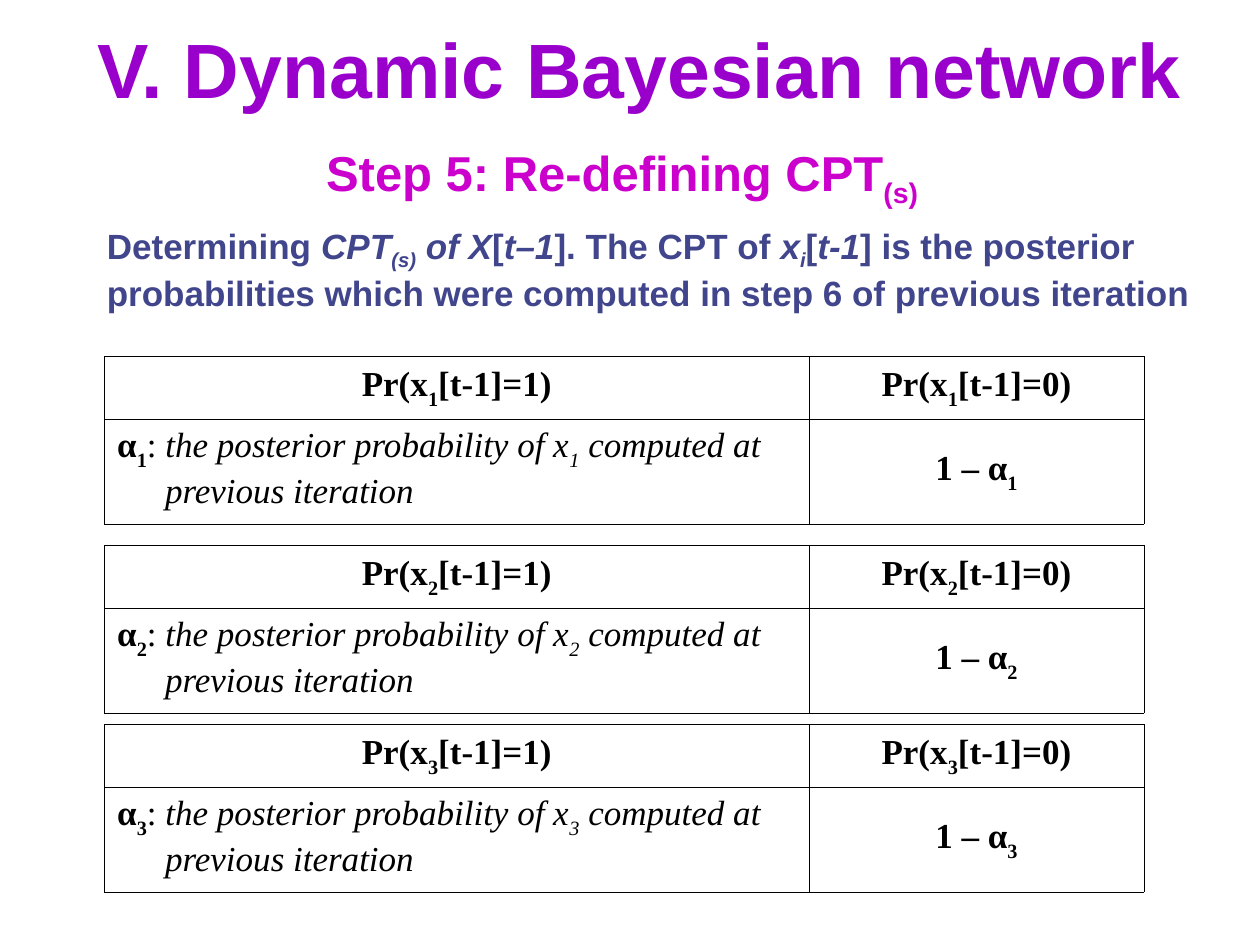
import pptx
import pptx.dml.color
import pptx.enum.text
import pptx.oxml
import pptx.oxml.ns
import pptx.util

Inches = pptx.util.Inches
Pt = pptx.util.Pt
RGBColor = pptx.dml.color.RGBColor
ALIGN = pptx.enum.text.PP_ALIGN
ANCHOR = pptx.enum.text.MSO_ANCHOR

PURPLE = RGBColor(0x99, 0x00, 0xCC)
MAGENTA = RGBColor(0xCC, 0x00, 0xCC)
INDIGO = RGBColor(0x40, 0x45, 0x8C)
BLACK = RGBColor(0, 0, 0)

TITLE_FORMAT = {"size": Pt(44), "name": "Arial", "bold": True, "color": PURPLE}
STEP_FORMAT = {"size": Pt(28), "name": "Arial", "bold": True, "color": MAGENTA}
EXPLANATION_FORMAT = {"size": Pt(20), "name": "Arial", "bold": True, "color": INDIGO}
CELL_FORMAT = {"size": Pt(20), "name": "Times New Roman", "bold": True, "color": BLACK}

PLAIN = {}
ITALIC = {"italic": True}
LIGHT = {"bold": False}
LIGHT_ITALIC = {"bold": False, "italic": True}
SUB = {"baseline": -25}
ITALIC_SUB = {"italic": True, "baseline": -25}
INDEX = {"baseline": -30}
LIGHT_ITALIC_INDEX = {"bold": False, "italic": True, "baseline": -30}

TITLE = [("V. Dynamic Bayesian network", PLAIN)]
STEP = [("Step 5: Re-defining CPT", PLAIN), ("(s)", SUB)]
EXPLANATION = [
    ("Determining", PLAIN), (" CPT", ITALIC), ("(s)", ITALIC_SUB), (" of X", ITALIC),
    ("[", PLAIN), ("t–1", ITALIC), ("]. The CPT of ", PLAIN),
    ("x", ITALIC), ("i", ITALIC_SUB), ("[", PLAIN), ("t-1", ITALIC),
    ("] is the posterior probabilities which were computed in step 6 "
     "of previous iteration", PLAIN),
]
VARIABLE_TOPS = {"1": 2.83, "2": 4.33, "3": 5.75}
COLUMN_WIDTHS = [5.59, 2.66]
ROW_HEIGHTS = [0.5, 0.83]
HANGING = Inches(0.38)


def cpt_rows(index):
    return [
        [[("Pr(x", PLAIN), (index, INDEX), (f"[t-1]={value})", PLAIN)] for value in (1, 0)],
        [
            [("α", PLAIN), (index, INDEX), (": ", LIGHT),
             ("the posterior probability of x", LIGHT_ITALIC),
             (index, LIGHT_ITALIC_INDEX),
             (" computed at previous iteration", LIGHT_ITALIC)],
            [("1 – α", PLAIN), (index, INDEX)],
        ],
    ]


def write_runs(paragraph, pieces, base_format):
    for text, changes in pieces:
        run = paragraph.add_run()
        run.text = text
        for key, value in {**base_format, **changes}.items():
            if key == "color":
                run.font.color.rgb = value
            elif key == "baseline":
                run._r.get_or_add_rPr().set("baseline", str(value * 1000))
            else:
                setattr(run.font, key, value)


def add_text(slide, box, pieces, base_format, wrap):
    frame = slide.shapes.add_textbox(*map(Inches, box)).text_frame
    frame.word_wrap = wrap
    write_runs(frame.paragraphs[0], pieces, base_format)


def outline_cell(cell):
    properties = cell._tc.get_or_add_tcPr()
    for side in "LRTB":
        properties.append(pptx.oxml.parse_xml(
            f'<a:ln{side} {pptx.oxml.ns.nsdecls("a")} w="{Pt(0.45)}">'
            f'<a:solidFill><a:srgbClr val="{BLACK}"/></a:solidFill></a:ln{side}>'))
    cell.fill.background()


def add_cpt(slide, index, top):
    size = map(Inches, (0.83, top, sum(COLUMN_WIDTHS), sum(ROW_HEIGHTS)))
    cpt = slide.shapes.add_table(len(ROW_HEIGHTS), len(COLUMN_WIDTHS), *size).table
    cpt.first_row = cpt.horz_banding = False
    for column, width in zip(cpt.columns, COLUMN_WIDTHS):
        column.width = Inches(width)
    for row, height in zip(cpt.rows, ROW_HEIGHTS):
        row.height = Inches(height)
    for r, row_pieces in enumerate(cpt_rows(index)):
        for c, pieces in enumerate(row_pieces):
            cell = cpt.cell(r, c)
            is_posterior = (r, c) == (1, 0)
            outline_cell(cell)
            cell.vertical_anchor = ANCHOR.TOP if is_posterior else ANCHOR.MIDDLE
            paragraph = cell.text_frame.paragraphs[0]
            paragraph.alignment = ALIGN.LEFT if is_posterior else ALIGN.CENTER
            indents = paragraph._p.get_or_add_pPr()
            indents.set("marL", str(HANGING))
            indents.set("indent", str(-HANGING))
            write_runs(paragraph, pieces, CELL_FORMAT)


def main():
    deck = pptx.Presentation()
    deck.slide_width, deck.slide_height = Inches(10), Inches(7.5)
    slide = deck.slides.add_slide(deck.slide_layouts.get_by_name("Title Only"))

    title = slide.shapes.title
    title_place = {"left": 0.67, "top": 0.08, "width": 8.92, "height": 0.92}
    for key, value in title_place.items():
        setattr(title, key, Inches(value))
    title.text_frame.vertical_anchor = ANCHOR.MIDDLE
    title.text_frame.auto_size = pptx.enum.text.MSO_AUTO_SIZE.NONE
    heading = title.text_frame.paragraphs[0]
    heading.alignment = ALIGN.LEFT
    write_runs(heading, TITLE, TITLE_FORMAT)

    add_text(slide, (2.49, 1.08, 4.9, 0.63), STEP, STEP_FORMAT, False)
    add_text(slide, (0.75, 1.73, 8.83, 0.82), EXPLANATION, EXPLANATION_FORMAT, True)
    for index, top in VARIABLE_TOPS.items():
        add_cpt(slide, index, top)

    deck.save("out.pptx")


if __name__ == "__main__":
    main()
